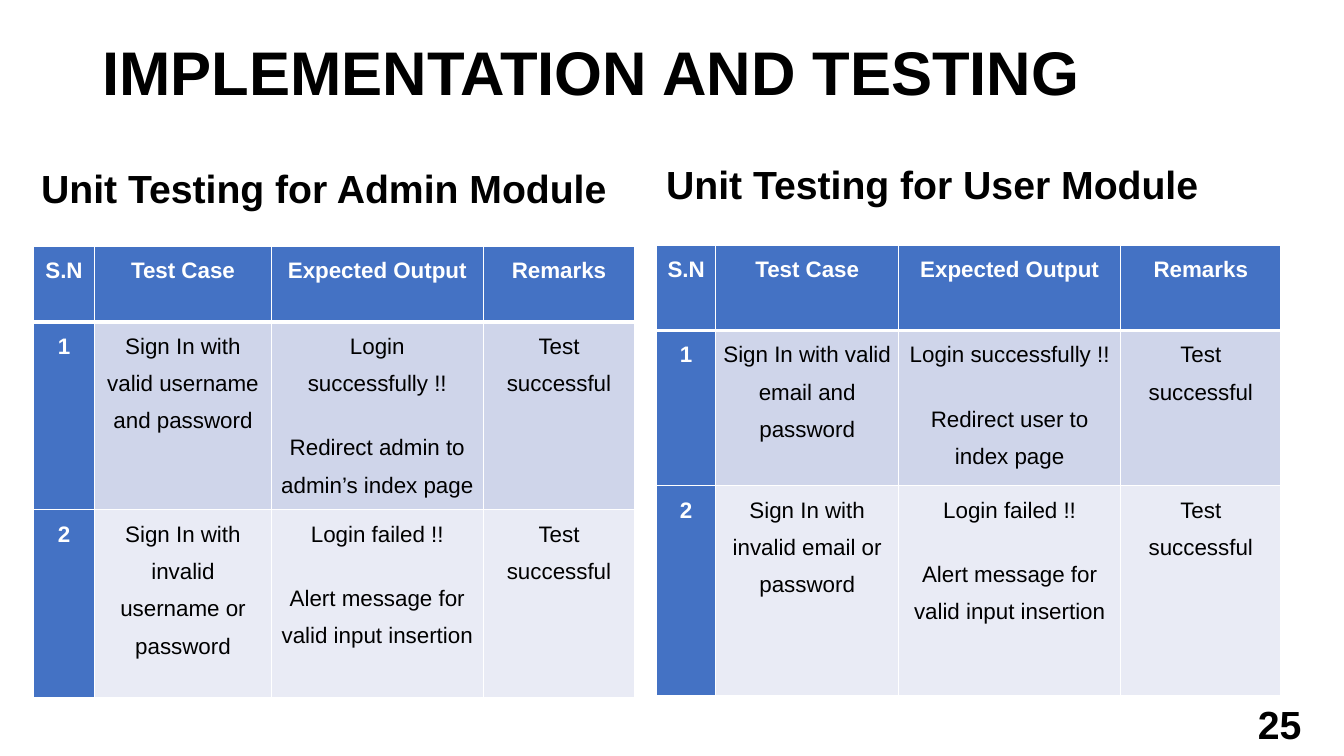
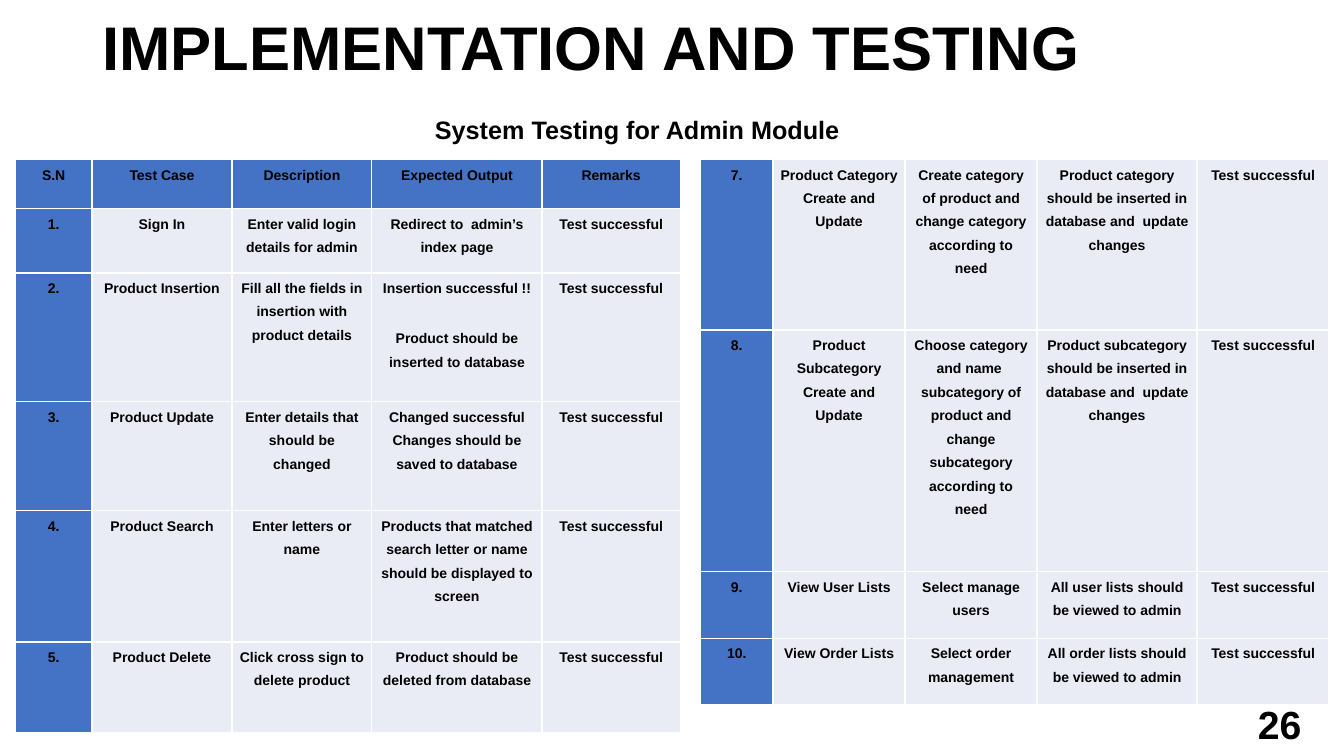
from dataclasses import dataclass

from lxml.etree import SubElement
from pptx import Presentation
from pptx.dml.color import RGBColor as Color
from pptx.enum.text import MSO_ANCHOR as Anchor, MSO_AUTO_SIZE as AutoSize, PP_ALIGN as Align
from pptx.oxml.ns import qn
from pptx.util import Pt


@dataclass(frozen=True)
class Theme:
    font: str = "Arial"
    ink: Color = Color(0x00, 0x00, 0x00)
    white: Color = Color(0xFF, 0xFF, 0xFF)
    blue: Color = Color(0x44, 0x72, 0xC4)
    band: Color = Color(0xCF, 0xD5, 0xEA)
    pale: Color = Color(0xE9, 0xEB, 0xF5)
    title_size: int = 44
    heading_size: int = 28
    subheading_size: int = 18
    unit_size: int = 16
    system_size: int = 10
    cell_margin: int = 5
    cell_line_spacing: float = 1.5
    cell_space_after: float = 19.2
    thin: int = 1
    thick: int = 3


@dataclass(frozen=True)
class TableStyle:
    size: int
    label_color: Color
    body_bold: bool
    fills: tuple
    header_line: int


THEME = Theme()
UNIT = TableStyle(THEME.unit_size, THEME.white, False, (THEME.band, THEME.pale), THEME.thick)
SYSTEM = TableStyle(THEME.system_size, THEME.ink, True, (THEME.pale,), THEME.thin)
PASSED = "Test successful"

ADMIN_UNIT_TESTS = [
    ("S.N", "Test Case", "Expected Output", "Remarks"),
    ("1", "Sign In with valid username and password",
     "Login successfully !!\nRedirect admin to admin’s index page", PASSED),
    ("2", "Sign In with invalid username or password",
     "Login failed !!\nAlert message for valid input insertion", PASSED),
]
USER_UNIT_TESTS = [
    ADMIN_UNIT_TESTS[0],
    ("1", "Sign In with valid email and password",
     "Login successfully !!\nRedirect user to index page", PASSED),
    ("2", "Sign In with invalid email or password",
     "Login failed !!\nAlert message for valid input insertion", PASSED),
]
PRODUCT_SYSTEM_TESTS = [
    ("S.N", "Test Case", "Description", "Expected Output", "Remarks"),
    ("1.", "Sign In", "Enter valid login details for admin",
     "Redirect to  admin’s index page", PASSED),
    ("2.", "Product Insertion", "Fill all the fields in insertion with product details",
     "Insertion successful !!\nProduct should be inserted to database", PASSED),
    ("3.", "Product Update", "Enter details that should be changed",
     "Changed successful Changes should be saved to database", PASSED),
    ("4.", "Product Search", "Enter letters or name",
     "Products that matched search letter or name should be displayed to screen", PASSED),
    ("5.", "Product Delete", "Click cross sign to delete product",
     "Product should be deleted from database", PASSED),
]
LISTING_SYSTEM_TESTS = [
    ("7.", "Product Category Create and Update",
     "Create category of product and change category according to need",
     "Product category should be inserted in database and  update changes", PASSED),
    ("8.", "Product Subcategory Create and Update",
     "Choose category and name  subcategory of product and change subcategory according to need",
     "Product subcategory should be inserted in database and  update changes", PASSED),
    ("9.", "View User Lists", "Select manage users",
     "All user lists should be viewed to admin", PASSED),
    ("10.", "View Order Lists", "Select order management",
     "All order lists should be viewed to admin", PASSED),
]


def format_para(para, size, color=THEME.ink, bold=True):
    for span in para.runs:
        span.font.name = THEME.font
        span.font.size = Pt(size)
        span.font.bold = bold
        span.font.color.rgb = color


def place(shape, left, top, width, height):
    shape.left, shape.top = Pt(left), Pt(top)
    shape.width, shape.height = Pt(width), Pt(height)


def add_text(page, text, left, top, width, height, size, align=Align.LEFT, anchor=Anchor.TOP):
    box = page.shapes.add_textbox(Pt(left), Pt(top), Pt(width), Pt(height))
    frame = box.text_frame
    frame.word_wrap = True
    frame.vertical_anchor = anchor
    frame.text = text
    para = frame.paragraphs[0]
    para.alignment = align
    format_para(para, size)


def add_page(deck, number, title_height):
    page = deck.slides.add_slide(deck.slide_layouts[5])
    title = page.shapes.title
    place(title, 66, 1.5, 718, title_height)
    frame = title.text_frame
    frame.text = "IMPLEMENTATION AND TESTING"
    frame.auto_size = AutoSize.NONE
    frame.vertical_anchor = Anchor.MIDDLE
    para = frame.paragraphs[0]
    para.alignment = Align.LEFT
    para.line_spacing = 0.9
    format_para(para, THEME.title_size)
    add_text(page, str(number), 720.7, 502.5, 216, 29, THEME.heading_size,
             Align.RIGHT, Anchor.MIDDLE)
    return page


def set_borders(cell, top, bottom):
    props = cell._tc.get_or_add_tcPr()
    widths = {"a:lnL": THEME.thin, "a:lnR": THEME.thin, "a:lnT": top, "a:lnB": bottom}
    for tag, width in widths.items():
        line = SubElement(props, qn(tag), w=str(Pt(width)))
        fill = SubElement(line, qn("a:solidFill"))
        SubElement(fill, qn("a:srgbClr"), val=str(THEME.white))


def fill_cell(cell, text, style, fill, is_label):
    cell.fill.solid()
    cell.fill.fore_color.rgb = fill
    cell.margin_left = cell.margin_right = Pt(THEME.cell_margin)
    cell.margin_top = cell.margin_bottom = Pt(0)
    cell.text_frame.text = text
    for para in cell.text_frame.paragraphs:
        para.alignment = Align.CENTER
        para.line_spacing = THEME.cell_line_spacing
        para.space_after = Pt(THEME.cell_space_after)
        if is_label:
            format_para(para, style.size, style.label_color)
        else:
            format_para(para, style.size, bold=style.body_bold)


def add_test_table(page, records, left, top, widths, heights, style, has_header=True):
    frame = page.shapes.add_table(len(heights), len(widths), Pt(left), Pt(top),
                                  Pt(sum(widths)), Pt(sum(heights)))
    table = frame.table
    table.first_row = has_header
    table.first_col = True
    table.horz_banding = False
    for column, width in zip(table.columns, widths):
        column.width = Pt(width)
    for row, height in zip(table.rows, heights):
        row.height = Pt(height)
    for row_index, record in enumerate(records):
        is_header = has_header and row_index == 0
        top_line = style.header_line if has_header and row_index == 1 else THEME.thin
        bottom_line = style.header_line if is_header else THEME.thin
        band = style.fills[(row_index - has_header) % len(style.fills)]
        for column_index, text in enumerate(record):
            cell = table.cell(row_index, column_index)
            is_label = is_header or column_index == 0
            set_borders(cell, top_line, bottom_line)
            fill_cell(cell, text, style, THEME.blue if is_label else band, is_label)


def add_unit_page(deck):
    page = add_page(deck, 25, 104.4)
    add_test_table(page, ADMIN_UNIT_TESTS, 23.8, 175.8, (43.9, 126, 151.6, 108),
                   (54, 134, 134), UNIT)
    add_test_table(page, USER_UNIT_TESTS, 469, 175, (42.3, 130.6, 158.6, 114.5),
                   (61, 111, 150), UNIT)
    add_text(page, "Unit Testing for Admin Module", 22.3, 114, 446.4, 41, THEME.heading_size)
    add_text(page, "Unit Testing for User Module", 468.7, 110.7, 402.5, 41, THEME.heading_size)


def add_system_page(deck):
    page = add_page(deck, 26, 69)
    add_test_table(page, PRODUCT_SYSTEM_TESTS, 11, 114, (54.7, 100, 100, 121.5, 98.8),
                   (35, 46, 92, 78, 93.6, 64.6), SYSTEM)
    add_test_table(page, LISTING_SYSTEM_TESTS, 500.4, 114, (51.8, 94.3, 94.3, 114.3, 94.3),
                   (121.7, 172.8, 47.4, 47.4), SYSTEM, has_header=False)
    add_text(page, "System Testing for Admin Module", 303.6, 78, 480, 29, THEME.subheading_size)


def main():
    deck = Presentation()
    deck.slide_width, deck.slide_height = Pt(960), Pt(540)
    add_unit_page(deck)
    add_system_page(deck)
    deck.save("out.pptx")


if __name__ == "__main__":
    main()
